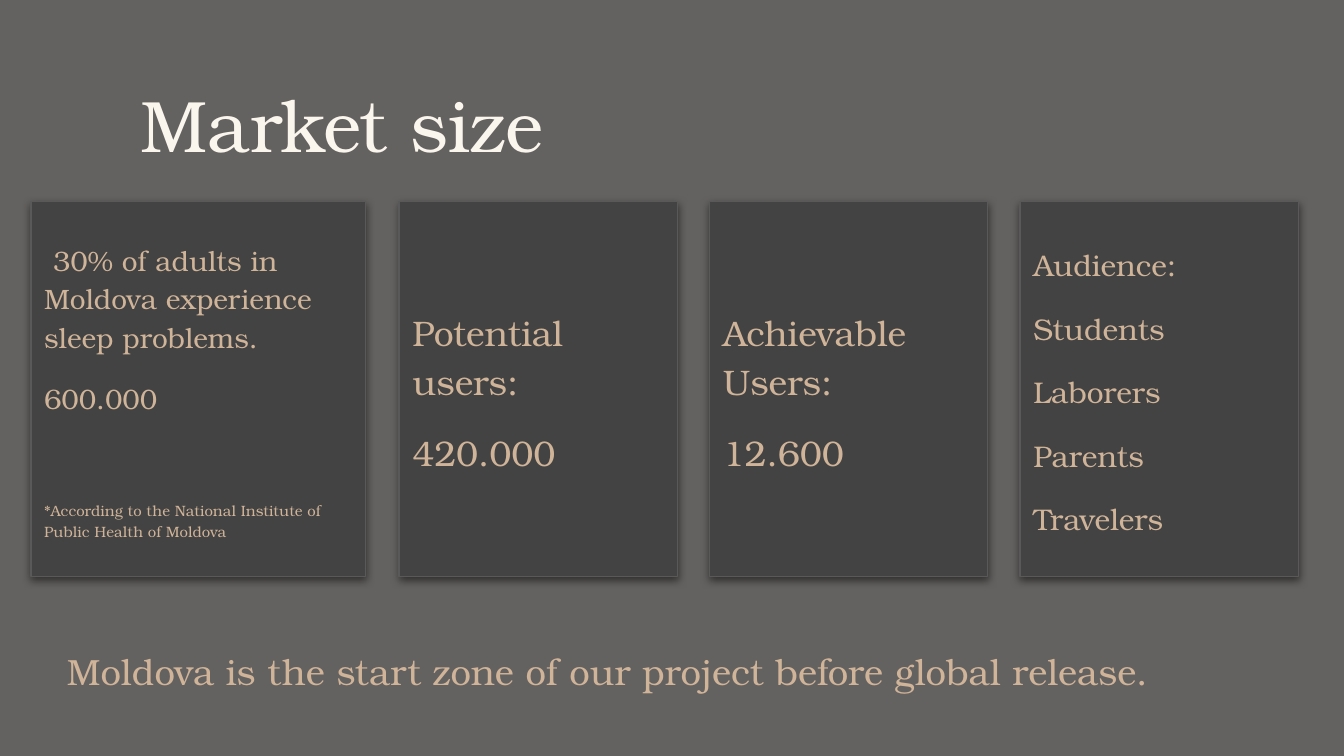
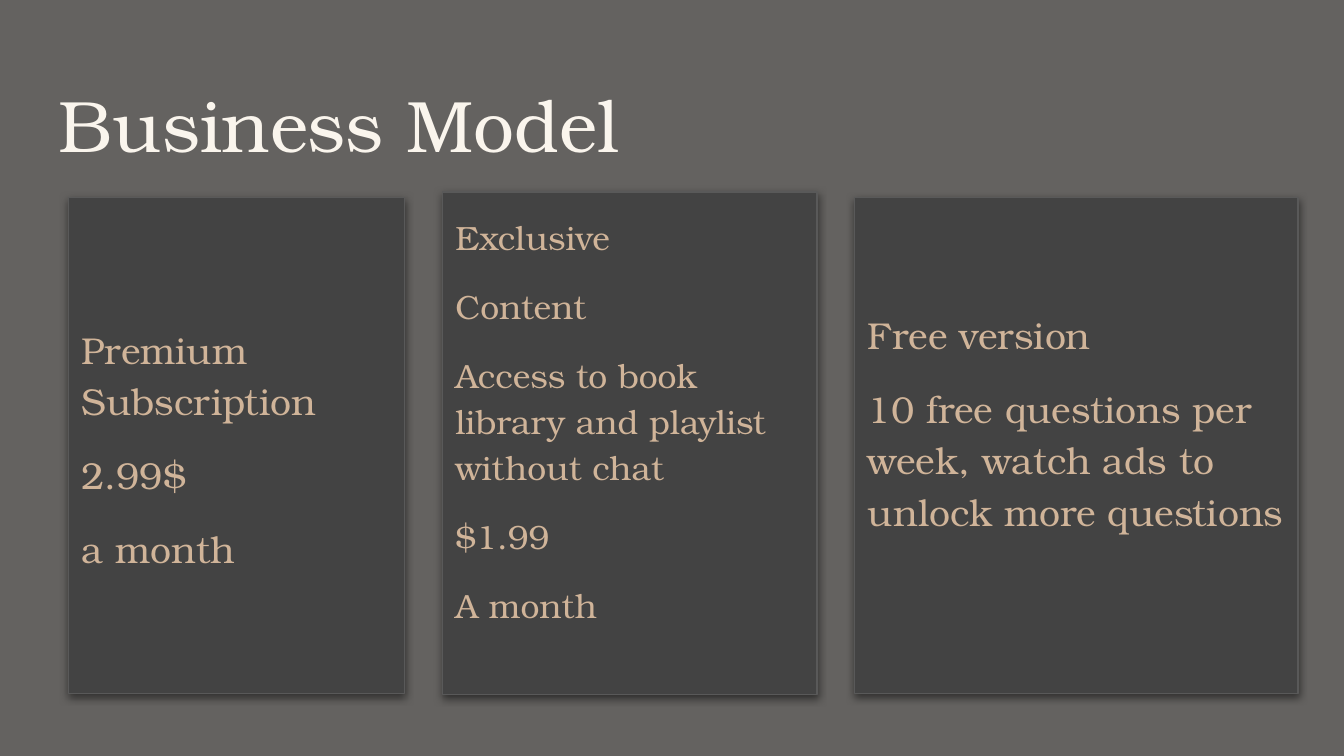
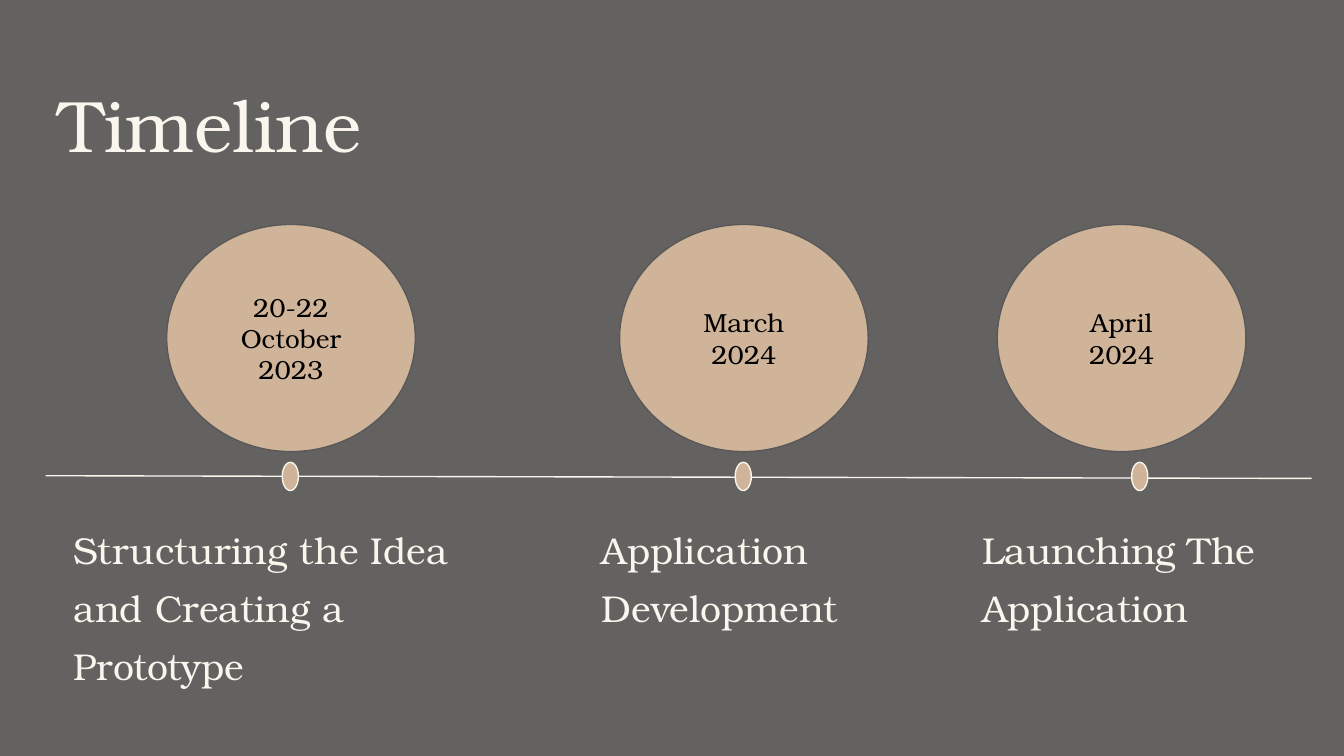
"""Build the market size, business model and timeline slides."""
import lxml.etree
import pptx
import pptx.dml.color
import pptx.enum.shapes
import pptx.enum.text
import pptx.oxml
import pptx.oxml.ns
import pptx.util

Inches = pptx.util.Inches
Pt = pptx.util.Pt
RGBColor = pptx.dml.color.RGBColor
SHAPE = pptx.enum.shapes.MSO_SHAPE
ALIGN = pptx.enum.text.PP_ALIGN
ANCHOR = pptx.enum.text.MSO_ANCHOR
qn = pptx.oxml.ns.qn

FONT = "TeX Gyre Bonum"
BACKGROUND = RGBColor(0x64, 0x62, 0x60)
CREAM = RGBColor(0xFA, 0xF5, 0xED)
SAND = RGBColor(0xD0, 0xB4, 0x99)
CHARCOAL = RGBColor(0x43, 0x43, 0x43)
OUTLINE = RGBColor(0x59, 0x59, 0x59)
BLACK = RGBColor(0, 0, 0)

CARD_SHADOW = (
    f'<a:effectLst {pptx.oxml.ns.nsdecls("a")}>'
    '<a:outerShdw blurRad="57150" dist="19050" dir="5400000" algn="bl" rotWithShape="0">'
    '<a:srgbClr val="000000"><a:alpha val="50000"/></a:srgbClr>'
    "</a:outerShdw></a:effectLst>"
)


def write(frame, text, *, size, color=SAND, spacing=1.15, before=0, align=ALIGN.LEFT):
    """Append one formatted paragraph to a text frame."""
    paragraph = frame.add_paragraph() if frame.text else frame.paragraphs[0]
    paragraph.text = text
    paragraph.alignment = align
    paragraph.line_spacing = spacing
    paragraph.space_before = Pt(before)
    font = paragraph.font
    font.name, font.size, font.color.rgb = FONT, Pt(size), color


class Deck:
    """Hold the shared style and the current slide."""

    def __init__(self):
        self.presentation = pptx.Presentation()
        self.presentation.slide_width = Inches(10)
        self.presentation.slide_height = Inches(10) * 9 // 16
        self.slide = None

    def start(self, title, left=0.34, width=9.32):
        self.slide = self.presentation.slides.add_slide(self.presentation.slide_layouts[6])
        fill = self.slide.background.fill
        fill.solid()
        fill.fore_color.rgb = BACKGROUND
        self.text([title], left, 0.49, width, 0.63, size=39, color=CREAM, spacing=1)

    def fill_frame(self, frame, lines, gap=0, **style):
        frame.word_wrap = True
        frame.margin_left = frame.margin_right = Inches(0.1)
        frame.margin_top = frame.margin_bottom = Inches(0.1)
        for index, line in enumerate(lines):
            write(frame, line, before=gap if index else 0, **style)

    def text(self, lines, left, top, width, height, **style):
        box = self.slide.shapes.add_textbox(
            Inches(left), Inches(top), Inches(width), Inches(height))
        self.fill_frame(box.text_frame, lines, **style)

    def shape(self, kind, left, top, width, height, fill, outline):
        shape = self.slide.shapes.add_shape(
            kind, Inches(left), Inches(top), Inches(width), Inches(height))
        shape.shadow.inherit = False
        shape.fill.solid()
        shape.fill.fore_color.rgb = fill
        shape.line.color.rgb = outline
        shape.line.width = Pt(0.75)
        shape.text_frame.vertical_anchor = ANCHOR.MIDDLE
        return shape

    def card(self, lines, left, top, width, height, size=20):
        card = self.shape(SHAPE.RECTANGLE, left, top, width, height, CHARCOAL, OUTLINE)
        properties = card._element.spPr
        properties.replace(properties.find(qn("a:effectLst")), pptx.oxml.parse_xml(CARD_SHADOW))
        self.fill_frame(card.text_frame, lines, gap=12, size=size)
        return card.text_frame

    def date_circle(self, lines, left):
        circle = self.shape(SHAPE.OVAL, left, 1.67, 1.85, 1.69, SAND, OUTLINE)
        self.fill_frame(circle.text_frame, lines, size=14, color=BLACK,
                        spacing=1, align=ALIGN.CENTER)

    def marker(self, left):
        self.shape(SHAPE.OVAL, left, 3.44, 0.12, 0.21, SAND, CREAM)

    def axis(self, left, top, right, bottom):
        line = self.slide.shapes.add_connector(
            pptx.enum.shapes.MSO_CONNECTOR.STRAIGHT,
            Inches(left), Inches(top), Inches(right), Inches(bottom))
        line.line.color.rgb = CREAM
        line.line.width = Pt(0.75)
        lxml.etree.SubElement(line._element.spPr, qn("a:effectLst"))


def market_size(deck):
    """Add the market size slide."""
    top, height = 1.5, 2.79
    deck.start("Market size", left=0.95, width=8.71)
    adults = deck.card([" 30% of adults in Moldova experience sleep problems.", "600.000"],
                       0.23, top, 2.49, height, size=15)
    write(adults, "*According to the National Institute of Public Health of Moldova",
          size=8, before=45)
    segments = [
        (["Potential users:", "420.000"], 19),
        (["Achievable Users:", "12.600"], 19),
        (["Audience:", "Students", "Laborers", "Parents", "Travelers"], 16),
    ]
    for column, (lines, size) in enumerate(segments):
        deck.card(lines, 2.97 + 2.31 * column, top, 2.07, height, size=size)
    deck.text(["Moldova is the start zone of our project before global release."],
              0.4, 4.68, 9.55, 0.54, size=19.5)


def business_model(deck):
    """Add the business model slide."""
    top, height = 1.47, 3.69
    deck.start("Business Model")
    deck.card(["Premium Subscription", "2.99$", "a month"], 0.51, top, 2.5, height)
    deck.card([], 3.29, 1.43, 2.79, 3.74)
    free = deck.card(
        ["Free version", "10 free questions per week, watch ads to unlock more questions"],
        6.36, top, 3.3, height)
    free.margin_bottom = Inches(0.49)
    deck.text(["Exclusive", "Content", "Access to book library and playlist without chat",
               "$1.99", "A month"], 3.29, top, 2.79, 3.27, size=18, gap=12)


def timeline(deck):
    """Add the timeline slide."""
    milestones = [
        (["20-22", "October", "2023"], 1.24, 2.1,
         "Structuring the Idea and Creating a Prototype", 0.45, 3.54, 1.4),
        (["March", "2024"], 4.61, 5.47, "Application Development", 4.38, 2.44, 0.97),
        (["April", "2024"], 7.42, 8.42, "Launching The Application", 7.21, 2.55, 0.97),
    ]
    deck.start("Timeline")
    deck.axis(0.34, 3.54, 9.76, 3.56)
    for date, circle_left, marker_left, step, left, width, height in milestones:
        deck.date_circle(date, circle_left)
        deck.marker(marker_left)
        deck.text([step], left, 3.73, width, height, size=20, color=CREAM, spacing=1.29)


def main():
    """Build and save the deck."""
    deck = Deck()
    market_size(deck)
    business_model(deck)
    timeline(deck)
    deck.presentation.save("out.pptx")


if __name__ == "__main__":
    main()
